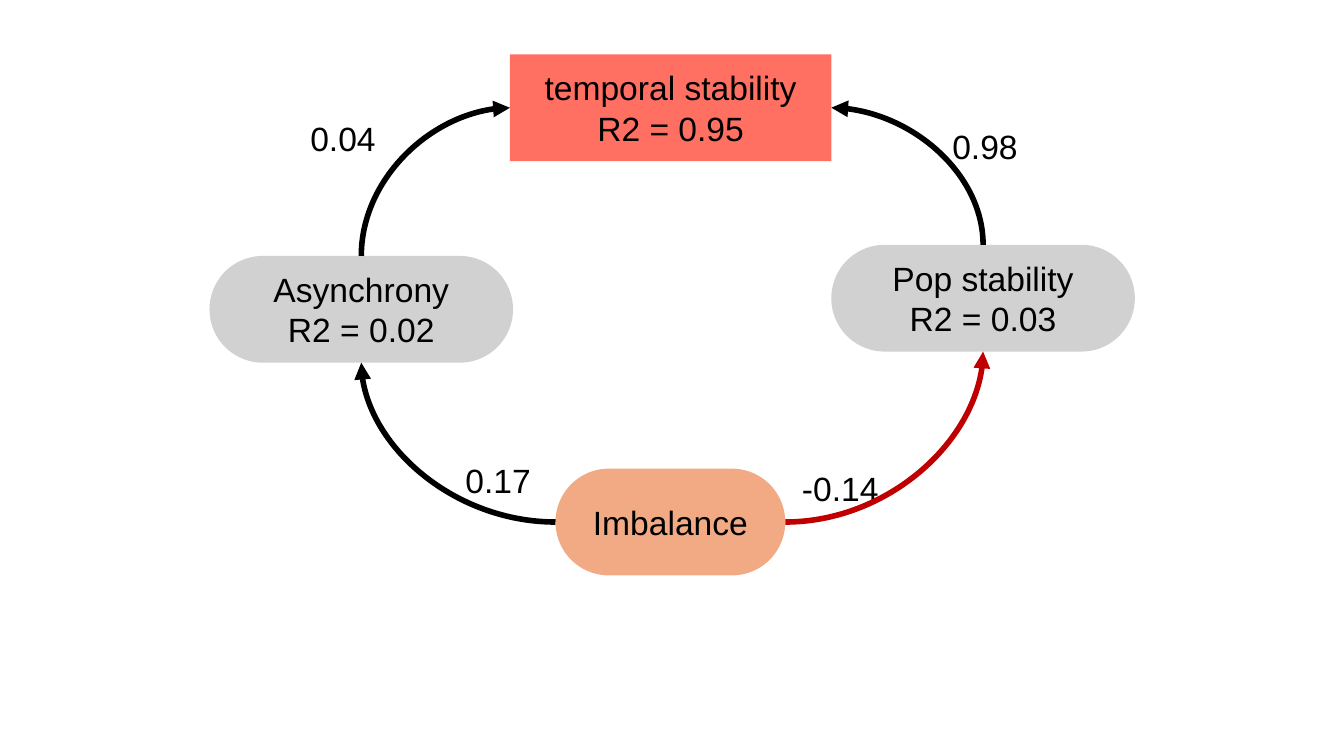
from dataclasses import dataclass

import lxml.etree
import pptx
import pptx.dml.color
import pptx.enum.shapes
import pptx.enum.text
import pptx.oxml.ns
import pptx.util
from pptx.util import Cm

TOP, LEFT, BOTTOM, RIGHT = range(4)


@dataclass(frozen=True)
class Theme:
    font: str = "Arial"
    text_size: int = 24
    line_width: int = 4
    black: str = "000000"
    red: str = "C00000"
    coral: str = "FF7062"
    grey: str = "D1D1D1"
    peach: str = "F2AA84"


THEME = Theme()
NODE_HEIGHT = 2.69
LABEL_HEIGHT = 1.27


def rgb(colour):
    return pptx.dml.color.RGBColor.from_string(colour)


def write_text(frame, text, alignment):
    frame.text = text
    for para in frame.paragraphs:
        para.alignment = alignment
        for span in para.runs:
            span.font.name = THEME.font
            span.font.size = pptx.util.Pt(THEME.text_size)
            span.font.color.rgb = rgb(THEME.black)


def add_node(page, text, left, top, width, fill, rounding=0.5):
    node = page.shapes.add_shape(
        pptx.enum.shapes.MSO_SHAPE.ROUNDED_RECTANGLE,
        Cm(left), Cm(top), Cm(width), Cm(NODE_HEIGHT))
    node.adjustments[0] = rounding
    node.shadow.inherit = False
    node.fill.solid()
    node.fill.fore_color.rgb = rgb(fill)
    node.line.fill.background()
    node.text_frame.vertical_anchor = pptx.enum.text.MSO_ANCHOR.MIDDLE
    write_text(node.text_frame, text, pptx.enum.text.PP_ALIGN.CENTER)
    return node


def add_label(page, text, left, top, width=6.15):
    box = page.shapes.add_textbox(Cm(left), Cm(top), Cm(width), Cm(LABEL_HEIGHT))
    box.text_frame.word_wrap = True
    write_text(box.text_frame, text, pptx.enum.text.PP_ALIGN.LEFT)


def bend_once(arrow, starts_upward):
    across = arrow.end_x - arrow.begin_x
    down = arrow.end_y - arrow.begin_y
    width, height = abs(across), abs(down)
    centre_x = (arrow.begin_x + arrow.end_x) // 2
    centre_y = (arrow.begin_y + arrow.end_y) // 2
    if starts_upward:
        width, height = height, width
        turn, flip_h, flip_v = 270, False, across < 0
    else:
        turn, flip_h, flip_v = 0, across < 0, down < 0
    arrow.left, arrow.top = centre_x - width // 2, centre_y - height // 2
    arrow.width, arrow.height = width, height
    properties = arrow.element.spPr
    frame = properties.find(pptx.oxml.ns.qn("a:xfrm"))
    frame.set("rot", str(turn * 60000))
    frame.set("flipH", str(int(flip_h)))
    frame.set("flipV", str(int(flip_v)))
    properties.find(pptx.oxml.ns.qn("a:prstGeom")).set("prst", "curvedConnector2")


def add_arrow(page, source, source_side, target, target_side, colour):
    arrow = page.shapes.add_connector(
        pptx.enum.shapes.MSO_CONNECTOR.CURVE, Cm(0), Cm(0), Cm(1), Cm(1))
    arrow.begin_connect(source, source_side)
    arrow.end_connect(target, target_side)
    bend_once(arrow, source_side == TOP)
    arrow.line.width = pptx.util.Pt(THEME.line_width)
    arrow.line.color.rgb = rgb(colour)
    lxml.etree.SubElement(
        arrow.line._get_or_add_ln(), pptx.oxml.ns.qn("a:tailEnd"), type="triangle")
    lxml.etree.SubElement(arrow.element.spPr, pptx.oxml.ns.qn("a:effectLst"))


def main():
    deck = pptx.Presentation()
    deck.slide_width, deck.slide_height = Cm(33.87), Cm(19.05)
    page = deck.slides.add_slide(deck.slide_layouts[6])

    stability = add_node(page, "temporal stability\nR2 = 0.95", 12.85, 1.37, 8.1, THEME.coral, 0)
    asynchrony = add_node(page, "Asynchrony\nR2 = 0.02", 5.28, 6.45, 7.65, THEME.grey)
    population = add_node(page, "Pop stability\nR2 = 0.03", 20.95, 6.17, 7.65, THEME.grey)
    imbalance = add_node(page, "Imbalance", 14, 11.81, 5.79, THEME.peach)

    add_label(page, "0.98", 23.75, 3.05)
    add_label(page, "-0.14", 19.96, 11.66, 2.87)
    add_label(page, "0.17", 11.48, 11.46)
    add_label(page, "0.04", 7.57, 2.84)

    add_arrow(page, imbalance, LEFT, asynchrony, BOTTOM, THEME.black)
    add_arrow(page, asynchrony, TOP, stability, LEFT, THEME.black)
    add_arrow(page, imbalance, RIGHT, population, BOTTOM, THEME.red)
    add_arrow(page, population, TOP, stability, RIGHT, THEME.black)

    deck.save("out.pptx")


if __name__ == "__main__":
    main()
